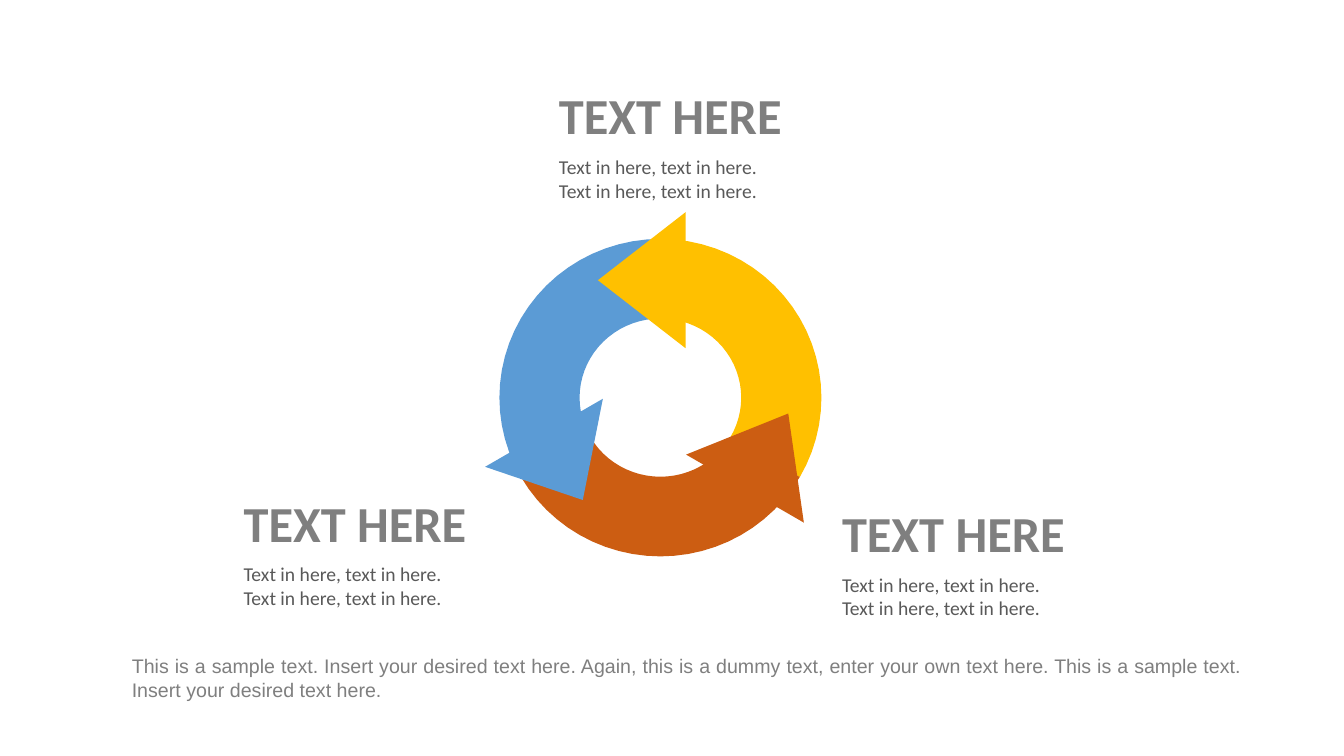
from dataclasses import dataclass
from math import cos, radians, sin

from pptx import Presentation
from pptx.dml.color import RGBColor
from pptx.enum.shapes import MSO_SHAPE
from pptx.enum.text import MSO_AUTO_SIZE, PP_ALIGN
from pptx.util import Inches, Pt


@dataclass(frozen=True)
class Theme:
    yellow: str = "FFC000"
    orange: str = "CC5D12"
    blue: str = "5B9BD5"
    heading: str = "7F7F7F"
    body: str = "595959"
    heading_size: int = 36
    body_size: int = 14
    label_font: str = "Calibri"
    note_font: str = "Arial"


class CycleSlide:
    """Places elements on a square grid of 0.1 inch columns and rows."""

    CELL = 0.1
    CENTRE = (65.55, 39.45)
    OUTER = (15.98, 15.75)
    INNER = (8.02, 7.85)
    HEAD_RADIUS = 11.8
    HEAD_WIDTH = 13.5

    def __init__(self, prs, theme):
        self.theme = theme
        self.s = prs.slides.add_slide(prs.slide_layouts[6])

    def grid(self, *cells):
        return [Inches(c * self.CELL) for c in cells]

    def around(self, radii, angle):
        """Grid point at an angle, clockwise from three o'clock."""
        a = radians(angle)
        return (self.CENTRE[0] + radii[0] * cos(a),
                self.CENTRE[1] + radii[1] * sin(a))

    def paint(self, sp, color):
        sp.shadow.inherit = False
        sp.fill.solid()
        sp.fill.fore_color.rgb = RGBColor.from_string(color)
        sp.line.fill.background()

    def band(self, start, color):
        """A third of the ring."""
        angles = range(start, start + 121, 5)
        points = [self.grid(*self.around(self.OUTER, a)) for a in angles]
        points += [self.grid(*self.around(self.INNER, a)) for a in reversed(angles)]
        builder = self.s.shapes.build_freeform(*points[0], scale=1.0)
        builder.add_line_segments(points[1:], close=True)
        self.paint(builder.convert_to_shape(), color)

    def head(self, start, lead, depth, color):
        """Arrowhead set slightly ahead of the start of its band."""
        x, y = self.around((self.HEAD_RADIUS, self.HEAD_RADIUS), start - lead)
        w = self.HEAD_WIDTH
        sp = self.s.shapes.add_shape(
            MSO_SHAPE.ISOSCELES_TRIANGLE,
            *self.grid(x - w / 2, y - depth / 2, w, depth))
        sp.rotation = start
        self.paint(sp, color)

    def text(self, x, y, w, h, lines, size, color, font, bold=False,
             align=PP_ALIGN.LEFT, inset=0.5, grow=True):
        tf = self.s.shapes.add_textbox(*self.grid(x, y, w, h)).text_frame
        tf.word_wrap = True
        tf.auto_size = MSO_AUTO_SIZE.SHAPE_TO_FIT_TEXT if grow else MSO_AUTO_SIZE.NONE
        tf.margin_top, tf.margin_bottom = self.grid(inset, inset)
        for i, line in enumerate(lines):
            p = tf.add_paragraph() if i else tf.paragraphs[0]
            p.alignment = align
            r = p.add_run()
            r.text = line
            r.font.size = Pt(size)
            r.font.name = font
            r.font.bold = bold
            r.font.color.rgb = RGBColor.from_string(color)

    def label(self, x, y):
        t = self.theme
        self.text(x, y + 7, 33.5, 5.7, ["Text in here, text in here."] * 2,
                  t.body_size, t.body, t.label_font)
        self.text(x, y, 29.5, 7, ["TEXT HERE"],
                  t.heading_size, t.heading, t.label_font, bold=True)

    def note(self, x, y, w, h, words):
        t = self.theme
        self.text(x, y, w, h, [words], t.body_size, t.heading, t.note_font,
                  align=PP_ALIGN.JUSTIFY, inset=0, grow=False)


def main():
    prs = Presentation()
    prs.slide_width, prs.slide_height = Inches(13.34), Inches(7.5)
    theme = Theme()
    s = CycleSlide(prs, theme)

    # Ring of arrows: each head overlaps the band before it
    s.band(270, theme.yellow)
    for start, lead, depth, color in ((30, 3.3, 8.6, theme.orange),
                                      (150, 5.3, 7.7, theme.blue)):
        s.head(start, lead, depth, color)
        s.band(start, color)
    s.head(270, 9, 8.7, theme.yellow)

    # Labels
    for x, y in ((54.5, 7.9), (82.6, 49.3), (23.2, 48.3)):
        s.label(x, y)

    # Note
    s.note(12.1, 64.9, 112.2, 10.6,
           "This is a sample text. Insert your desired text here. Again, this is "
           "a dummy text, enter your own text here. This is a sample text. "
           "Insert your desired text here.")

    prs.save("out.pptx")


if __name__ == "__main__":
    main()
